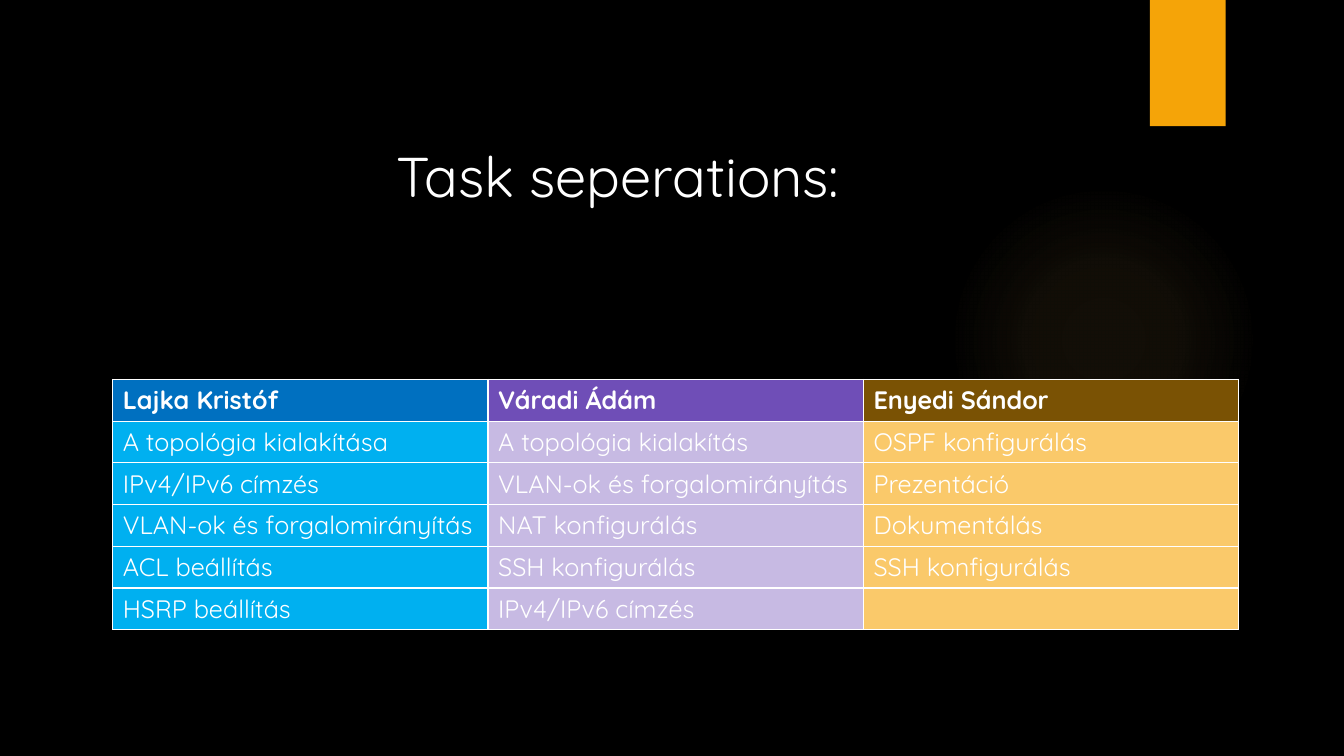
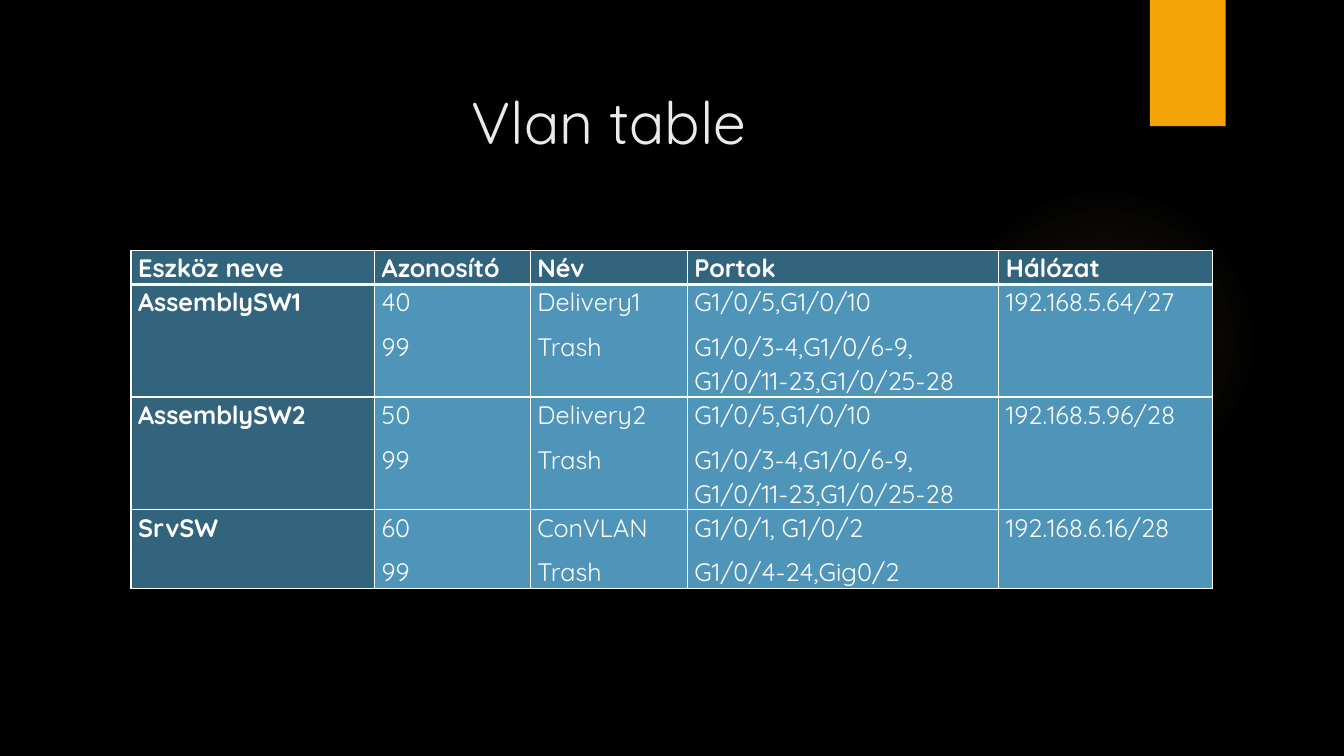
from lxml.etree import SubElement
from pptx import Presentation
from pptx.dml.color import RGBColor
from pptx.enum.shapes import MSO_SHAPE as Shape
from pptx.enum.text import MSO_ANCHOR as Anchor, MSO_AUTO_SIZE as AutoSize, PP_ALIGN as Align
from pptx.oxml import parse_xml
from pptx.oxml.ns import nsdecls, qn
from pptx.util import Cm, Pt

BLACK = RGBColor(0x00, 0x00, 0x00)
WHITE = RGBColor(0xFF, 0xFF, 0xFF)
PALE_GREY = RGBColor(0xEB, 0xEB, 0xEB)
ORANGE = RGBColor(0xF5, 0xA4, 0x08)
LIGHT_ORANGE = RGBColor(0xFA, 0xC9, 0x6A)
BROWN = RGBColor(0x7A, 0x52, 0x04)
BLUE = RGBColor(0x00, 0x70, 0xC0)
LIGHT_BLUE = RGBColor(0x00, 0xB0, 0xF0)
PURPLE = RGBColor(0x6F, 0x4E, 0xB7)
LIGHT_PURPLE = RGBColor(0xC7, 0xBA, 0xE3)
DARK_STEEL = RGBColor(0x32, 0x64, 0x7E)
STEEL = RGBColor(0x4F, 0x95, 0xB9)

FONT = "Quicksand"
TITLE_ONLY = 5
GLOW_STOPS = ((0, 7), (36, 6), (69, 0))  # position and opacity, in percent

# One column per person: header fill, body fill, name, tasks
TASKS = (
    (BLUE, LIGHT_BLUE, "Lajka Kristóf",
     ("A topológia kialakítása", "IPv4/IPv6 címzés", "VLAN-ok és forgalomirányítás",
      "ACL beállítás", "HSRP beállítás")),
    (PURPLE, LIGHT_PURPLE, "Váradi Ádám",
     ("A topológia kialakítás", "VLAN-ok és forgalomirányítás", "NAT konfigurálás",
      "SSH konfigurálás", "IPv4/IPv6 címzés")),
    (BROWN, LIGHT_ORANGE, "Enyedi Sándor",
     ("OSPF konfigurálás", "Prezentáció", "Dokumentálás", "SSH konfigurálás", "")),
)

# A line break in a cell starts a new paragraph
ASSEMBLY_PORTS = "G1/0/5,G1/0/10\nG1/0/3-4,G1/0/6-9, G1/0/11-23,G1/0/25-28"
VLANS = (
    ("Eszköz neve", "Azonosító", "Név", "Portok", "Hálózat"),
    ("AssemblySW1", "40\n99", "Delivery1\nTrash", ASSEMBLY_PORTS, "192.168.5.64/27"),
    ("AssemblySW2", "50\n99", "Delivery2\nTrash", ASSEMBLY_PORTS, "192.168.5.96/28"),
    ("SrvSW", "60\n99", "ConVLAN\nTrash", "G1/0/1, G1/0/2\nG1/0/4-24,Gig0/2",
     "192.168.6.16/28"),
)


class StyledDeck:
    """Holds the shared style and the slide being built."""

    def __init__(self):
        self.deck = Presentation()
        self.deck.slide_width, self.deck.slide_height = Cm(33.87), Cm(19.05)
        background = self.deck.slide_master.background.fill
        background.solid()
        background.fore_color.rgb = BLACK
        self.slide = None

    def add_slide(self):
        self.slide = self.deck.slides.add_slide(self.deck.slide_layouts[TITLE_ONLY])
        self.add_glow()
        band = self.add_plain_shape(Shape.RECTANGLE, 28.98, 0, 1.91, 3.18)
        band.fill.solid()
        band.fill.fore_color.rgb = ORANGE

    def add_plain_shape(self, kind, left, top, width, height):
        shape = self.slide.shapes.add_shape(kind, Cm(left), Cm(top), Cm(width), Cm(height))
        shape.shadow.inherit = False
        shape.line.fill.background()
        return shape

    def add_glow(self):
        glow = self.add_plain_shape(Shape.OVAL, 23.9, 4.65, 7.82, 7.82)
        stops = "".join(
            f'<a:gs pos="{position * 1000}"><a:srgbClr val="{LIGHT_ORANGE}">'
            f'<a:alpha val="{opacity * 1000}"/></a:srgbClr></a:gs>'
            for position, opacity in GLOW_STOPS)
        gradient = parse_xml(
            f'<a:gradFill {nsdecls("a")} rotWithShape="1"><a:gsLst>{stops}</a:gsLst>'
            '<a:path path="circle"><a:fillToRect l="50000" t="50000" r="50000" b="50000"/>'
            '</a:path></a:gradFill>')
        glow.element.spPr.find(qn("a:prstGeom")).addnext(gradient)

    def add_title(self, text, left, top, width, height, size, color):
        title = self.slide.shapes.title
        title.left, title.top, title.width, title.height = map(Cm, (left, top, width, height))
        frame = title.text_frame
        frame.text = text
        frame.word_wrap = True
        frame.auto_size = AutoSize.NONE
        frame.vertical_anchor = Anchor.TOP
        para = frame.paragraphs[0]
        para.alignment = Align.LEFT
        self.set_font(para, size, color)

    def set_font(self, para, size, color, bold=False):
        font = para.font
        font.name, font.size, font.bold = FONT, Pt(size), bold
        font.color.rgb = color

    def add_table(self, left, top, widths, heights):
        frame = self.slide.shapes.add_table(
            len(heights), len(widths), Cm(left), Cm(top), Cm(sum(widths)), Cm(sum(heights)))
        table = frame.table
        table.horz_banding = False
        for column, width in zip(table.columns, widths):
            column.width = Cm(width)
        for row, height in zip(table.rows, heights):
            row.height = Cm(height)
        return table

    def fill_cell(self, cell, text, color, bold=False, top_line=1, bottom_line=1):
        cell.text = text
        for para in cell.text_frame.paragraphs:
            self.set_font(para, 18, WHITE, bold)
        # Borders come before the fill in the cell properties
        properties = cell._tc.get_or_add_tcPr()
        for side, points in zip("LRTB", (1, 1, top_line, bottom_line)):
            line = SubElement(properties, qn(f"a:ln{side}"), w=str(Pt(points)))
            SubElement(SubElement(line, qn("a:solidFill")), qn("a:srgbClr"), val=str(WHITE))
        cell.fill.solid()
        cell.fill.fore_color.rgb = color

    def space_cell(self, cell):
        cell.margin_left = cell.margin_right = Cm(0.18)
        cell.margin_top = cell.margin_bottom = 0
        for para in cell.text_frame.paragraphs:
            para.alignment = Align.JUSTIFY
            para.line_spacing = 1.07
            para.space_after = Pt(8)


def build_task_slide(style):
    style.add_slide()
    style.add_title("Task seperations:", 9.73, 3.43, 12.07, 1.96, 40, WHITE)
    table = style.add_table(2.84, 9.56, [9.46] * 3, [1.05] * 6)
    for column, (header_color, body_color, person, tasks) in enumerate(TASKS):
        style.fill_cell(table.cell(0, column), person, header_color, bold=True)
        for row, task in enumerate(tasks, start=1):
            style.fill_cell(table.cell(row, column), task, body_color)


def build_vlan_slide(style):
    style.add_slide()
    style.add_title("Vlan table", 11.63, 2.03, 16, 3.89, 42, PALE_GREY)
    table = style.add_table(3.3, 6.31, (6.14, 3.92, 3.96, 7.85, 5.38), (0.86, 2.82, 2.82, 1.98))
    for row, texts in enumerate(VLANS):
        for column, text in enumerate(texts):
            heading = row == 0 or column == 0
            cell = table.cell(row, column)
            style.fill_cell(cell, text, DARK_STEEL if heading else STEEL, heading,
                            top_line=3 if row == 1 else 1, bottom_line=3 if row == 0 else 1)
            style.space_cell(cell)


def main():
    style = StyledDeck()
    build_task_slide(style)
    build_vlan_slide(style)
    style.deck.save("out.pptx")


if __name__ == "__main__":
    main()
